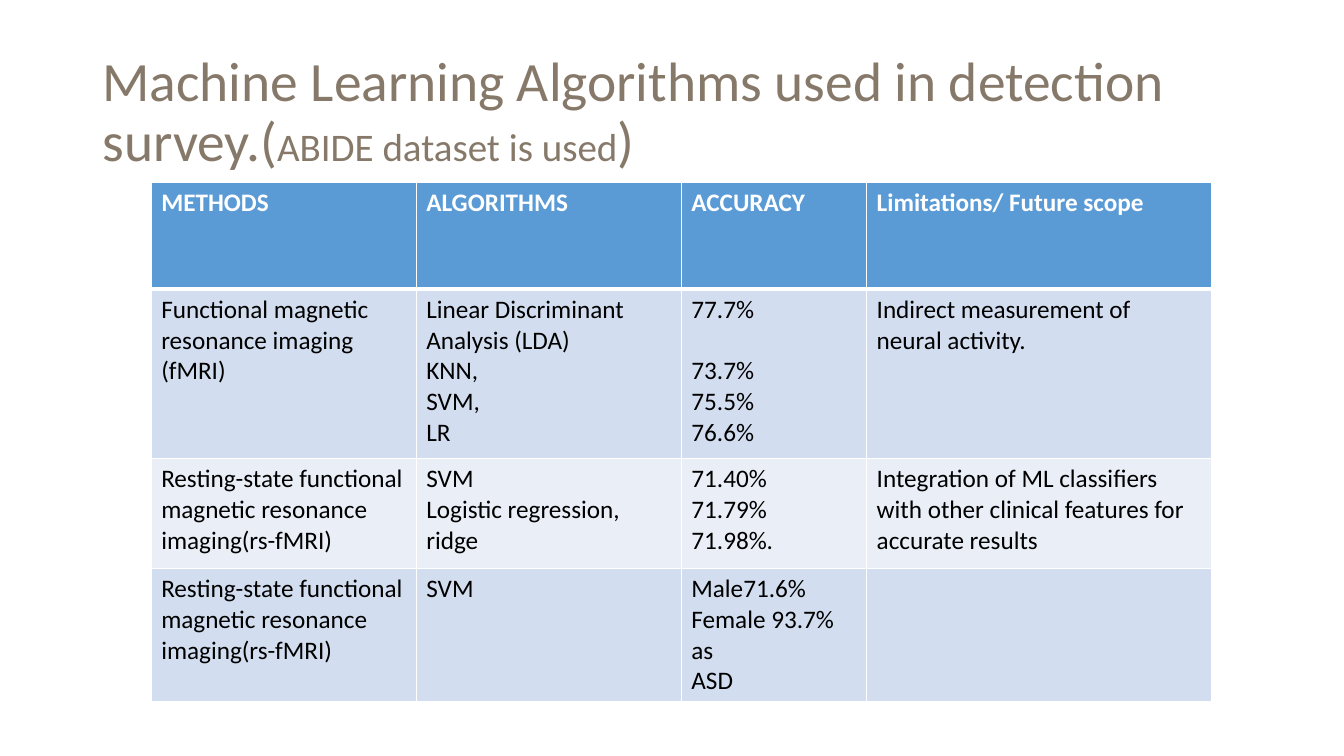
from pptx import Presentation
from pptx.dml.color import RGBColor as Rgb
from pptx.enum.text import MSO_ANCHOR as Anchor, MSO_AUTO_SIZE as Fit, PP_ALIGN as Align
from pptx.oxml import parse_xml
from pptx.oxml.ns import nsdecls
from pptx.util import Cm, Pt

WHITE, BLACK, BROWN = "FFFFFF", "000000", "877969"
BLUE, BANDS = "5B9BD5", ("D2DEEF", "EAEFF7")
COLS = (6.68, 6.68, 4.67, 8.69)
HEIGHTS = (2.69, 4.27, 2.77, 3.3)
LINE = 22  # height of one table line in points

RESTING = ["Resting-state functional", "magnetic resonance imaging(rs-fMRI)"]
ROWS = [
    [["METHODS"], ["ALGORITHMS"], ["ACCURACY"], ["Limitations/ Future scope"]],
    [["Functional magnetic", "resonance imaging (fMRI)"],
     ["Linear Discriminant", "Analysis (LDA)", "KNN,", "SVM,", "LR"],
     ["77.7%", "73.7%", "75.5%", "76.6%"],
     ["Indirect measurement of neural activity."]],
    [RESTING,
     ["SVM", "Logistic regression, ridge"],
     ["71.40%", "71.79%", "71.98%."],
     ["Integration of ML classifiers",
      "with other clinical features for accurate results"]],
    [RESTING, ["SVM"], ["Male71.6%", "Female 93.7% as", "ASD"], []],
]


def color(code):
    return Rgb.from_string(code)


def write(para, text, size=18, tint=BLACK, bold=False, font="Calibri"):
    run = para.add_run()
    run.text = text
    run.font.name, run.font.size, run.font.bold = font, Pt(size), bold
    run.font.color.rgb = color(tint)


def edge(cell, side, width):
    """Draw a white border on one side (L, R, T or B), before any fill is set."""
    cell._tc.get_or_add_tcPr().append(parse_xml(
        f'<a:ln{side} {nsdecls("a")} w="{Pt(width)}"><a:solidFill>'
        f'<a:srgbClr val="{WHITE}"/></a:solidFill></a:ln{side}>'))


class Page:
    def __init__(self, deck):
        self.slide = deck.slides.add_slide(deck.slide_layouts[5])

    def title(self, parts, box):
        shape = self.slide.shapes.title
        shape.left, shape.top, shape.width, shape.height = map(Cm, box)
        frame = shape.text_frame
        frame.auto_size, frame.word_wrap = Fit.NONE, True
        frame.vertical_anchor = Anchor.MIDDLE
        para = frame.paragraphs[0]
        para.alignment, para.line_spacing = Align.LEFT, 0.9
        for text, size in parts:
            write(para, text, size=size, tint=BROWN)

    def table(self, rows, left, top):
        grid = self.slide.shapes.add_table(
            len(rows), len(COLS), Cm(left), Cm(top),
            Cm(sum(COLS)), Cm(sum(HEIGHTS))).table
        for col, width in zip(grid.columns, COLS):
            col.width = Cm(width)
        for r, row in enumerate(rows):
            grid.rows[r].height = Cm(HEIGHTS[r])
            for c, lines in enumerate(row):
                self.cell(grid.cell(r, c), lines, r)
        return grid

    def cell(self, cell, lines, r):
        head = r == 0
        for side, width in zip("LRTB", (1, 1, 3 if r == 1 else 1, 3 if head else 1)):
            edge(cell, side, width)
        cell.fill.solid()
        cell.fill.fore_color.rgb = color(BLUE if head else BANDS[(r - 1) % 2])
        frame = cell.text_frame
        for i, line in enumerate(lines):
            para = frame.add_paragraph() if i else frame.paragraphs[0]
            write(para, line, tint=WHITE if head else BLACK, bold=head)


def main():
    deck = Presentation()
    deck.slide_width, deck.slide_height = Cm(33.87), Cm(19.05)
    page = Page(deck)
    page.title([("Machine Learning Algorithms used in detection survey.(", 39.6),
                ("ABIDE dataset is used", 27.9), (")", 39.6)],
               (2.33, 1.02, 29.21, 3.68))
    grid = page.table(ROWS, 3.81, 4.6)
    # The LDA name takes two lines, so the KNN score drops one line.
    grid.cell(1, 2).text_frame.paragraphs[1].space_before = Pt(LINE)
    deck.save("out.pptx")


if __name__ == "__main__":
    main()
